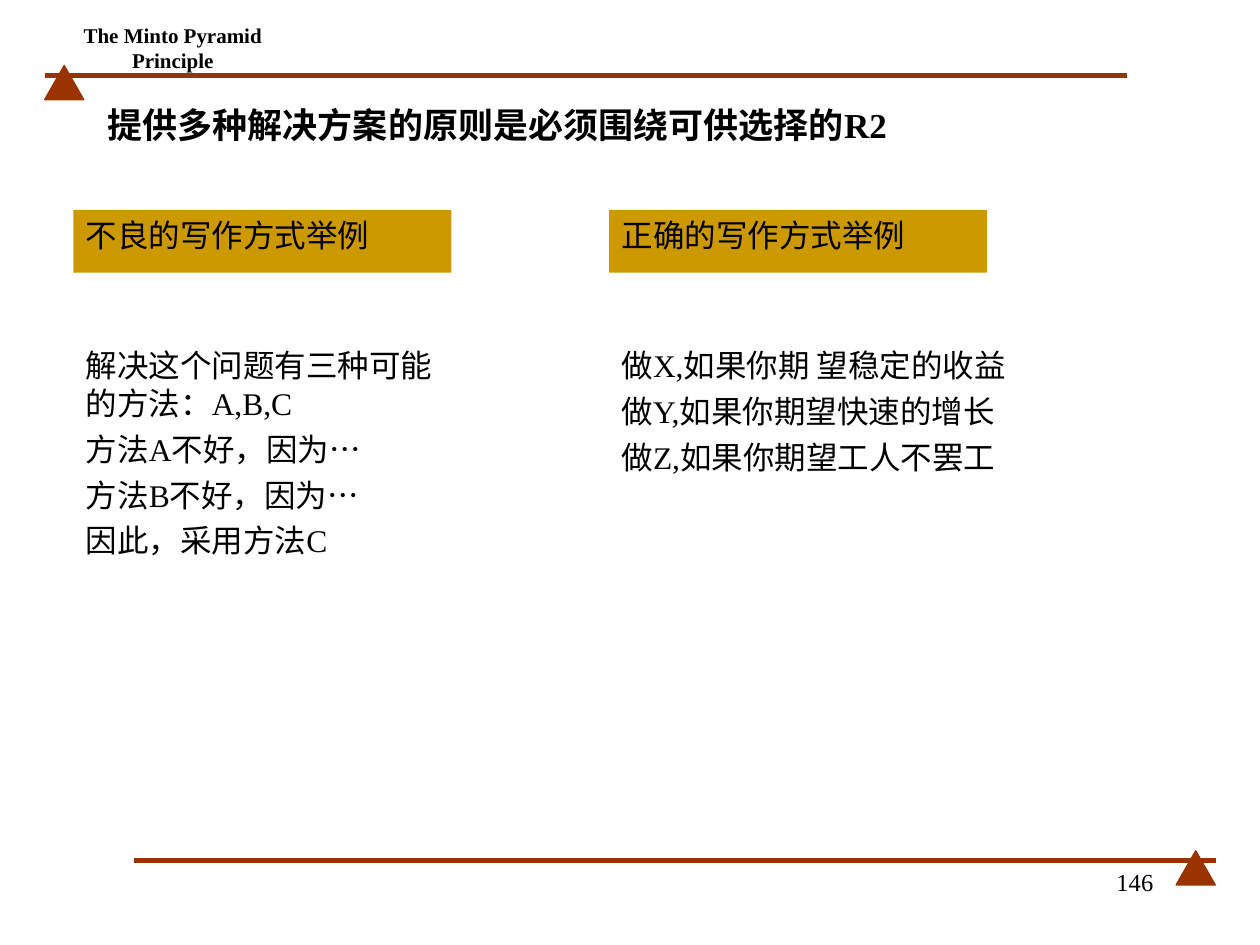
import dataclasses

import pptx
import pptx.dml.color
import pptx.enum.lang
import pptx.enum.shapes
import pptx.enum.text
import pptx.util
from lxml import etree
from pptx.util import Cm, Pt

ALIGN = pptx.enum.text.PP_ALIGN
ANCHOR = pptx.enum.text.MSO_ANCHOR


@dataclasses.dataclass(frozen=True)
class Theme:
    accent = pptx.dml.color.RGBColor(0x99, 0x33, 0x00)
    banner = pptx.dml.color.RGBColor(0xCC, 0x99, 0x00)
    ink = pptx.dml.color.RGBColor(0, 0, 0)
    font = "Times New Roman"
    ellipsis_font = "Arial"
    title_size = Pt(20)
    body_size = Pt(18)
    number_size = Pt(14)
    header_size = Pt(12)
    paragraph_gap = Pt(4.5)


THEME = Theme()


def write_text(shape, lines, size, bold=False, align=ALIGN.LEFT,
               anchor=ANCHOR.TOP, wrap=True):
    """Fill a shape with one paragraph per line; ellipses get their own font."""
    frame = shape.text_frame
    frame.word_wrap = wrap
    frame.vertical_anchor = anchor
    for index, line in enumerate(lines):
        paragraph = frame.add_paragraph() if index else frame.paragraphs[0]
        paragraph.alignment = align
        if index:
            paragraph.space_before = THEME.paragraph_gap
        for part in filter(None, line.partition("…")):
            run = paragraph.add_run()
            run.text = part
            run.font.name = THEME.ellipsis_font if part == "…" else THEME.font
            run.font.size = size
            run.font.bold = bold
            run.font.color.rgb = THEME.ink
            run.font.language_id = pptx.enum.lang.MSO_LANGUAGE_ID.SIMPLIFIED_CHINESE


def add_text(slide, box, lines, size, **options):
    write_text(slide.shapes.add_textbox(*box), lines, size, **options)


def add_filled_shape(slide, kind, box, color):
    shape = slide.shapes.add_shape(kind, *box)
    shape.shadow.inherit = False
    shape.fill.solid()
    shape.fill.fore_color.rgb = color
    shape.line.fill.background()
    return shape


def add_rule(slide, left, top, triangle_left):
    """Draw a long rule with a triangle sitting across it."""
    rule = slide.shapes.add_connector(
        pptx.enum.shapes.MSO_CONNECTOR.STRAIGHT, left, top, left + Cm(21.82), top)
    rule.line.color.rgb = THEME.accent
    rule.line.width = Pt(3)
    etree.SubElement(rule._element.spPr, pptx.oxml.ns.qn("a:effectLst"))
    triangle = add_filled_shape(
        slide, pptx.enum.shapes.MSO_SHAPE.ISOSCELES_TRIANGLE,
        (triangle_left, top - Cm(0.2), Cm(0.79), Cm(0.69)), THEME.accent)
    triangle.line.color.rgb = THEME.accent
    triangle.line.width = Pt(0.75)


def add_header(slide, left, top):
    add_rule(slide, left, top, left)
    add_text(slide, (left - Cm(0.31), top - Cm(0.91), Cm(5.79), Cm(0.71)),
             ["The Minto Pyramid Principle"], THEME.header_size, bold=True,
             align=ALIGN.CENTER, anchor=ANCHOR.MIDDLE, wrap=False)
    add_text(slide, (left + Cm(1.02), top + Cm(0.18), Cm(22.2), Cm(1.63)),
             ["提供多种解决方案的原则是必须围绕可供选择的R2"],
             THEME.title_size, bold=True, anchor=ANCHOR.MIDDLE)


def add_footer(slide, left, top):
    add_rule(slide, left, top, left + Cm(21.01))
    add_text(slide, (left + Cm(15.52), top, Cm(5.28), Cm(1.27)),
             ["146"], THEME.number_size, align=ALIGN.RIGHT)


def add_example(slide, left, top, body_width, heading, lines):
    """Place a banner heading with its example text below."""
    banner = add_filled_shape(slide, pptx.enum.shapes.MSO_SHAPE.RECTANGLE,
                              (left, top, Cm(7.62), Cm(1.27)), THEME.banner)
    write_text(banner, [heading], THEME.body_size)
    add_text(slide, (left, top + Cm(2.63), body_width, Cm(8.5)),
             lines, THEME.body_size)


def main():
    presentation = pptx.Presentation()
    presentation.slide_width, presentation.slide_height = Cm(25.4), Cm(19.05)
    slide = presentation.slides.add_slide(presentation.slide_layouts[6])
    add_header(slide, Cm(0.9), Cm(1.52))
    add_footer(slide, Cm(2.7), Cm(17.35))
    examples = [
        (Cm(7.62), "不良的写作方式举例",
         ["解决这个问题有三种可能的方法：A,B,C", "方法A不好，因为…",
          "方法B不好，因为…", "因此，采用方法C"]),
        (Cm(8.69), "正确的写作方式举例",
         ["做X,如果你期 望稳定的收益", "做Y,如果你期望快速的增长",
          "做Z,如果你期望工人不罢工"]),
    ]
    for column, (body_width, heading, lines) in enumerate(examples):
        add_example(slide, Cm(1.48 + 10.8 * column), Cm(4.23),
                    body_width, heading, lines)
    presentation.save("out.pptx")


if __name__ == "__main__":
    main()
